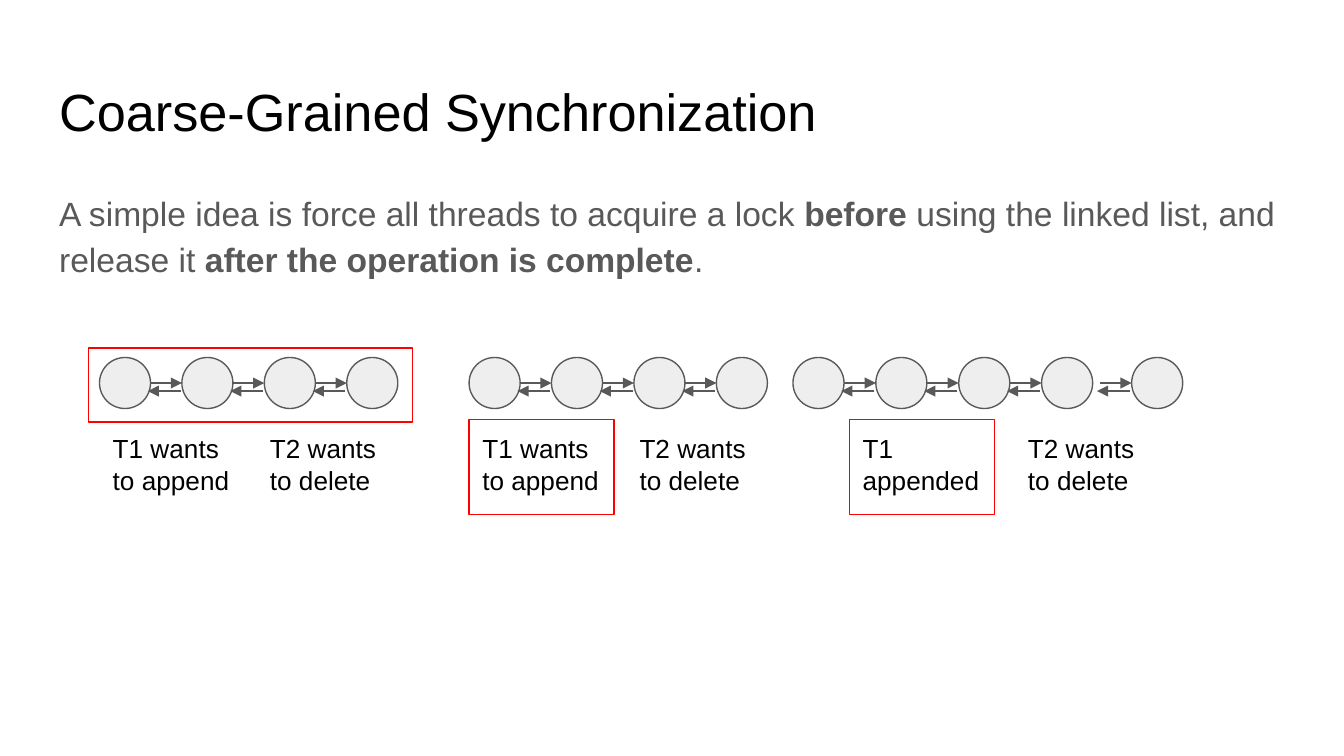
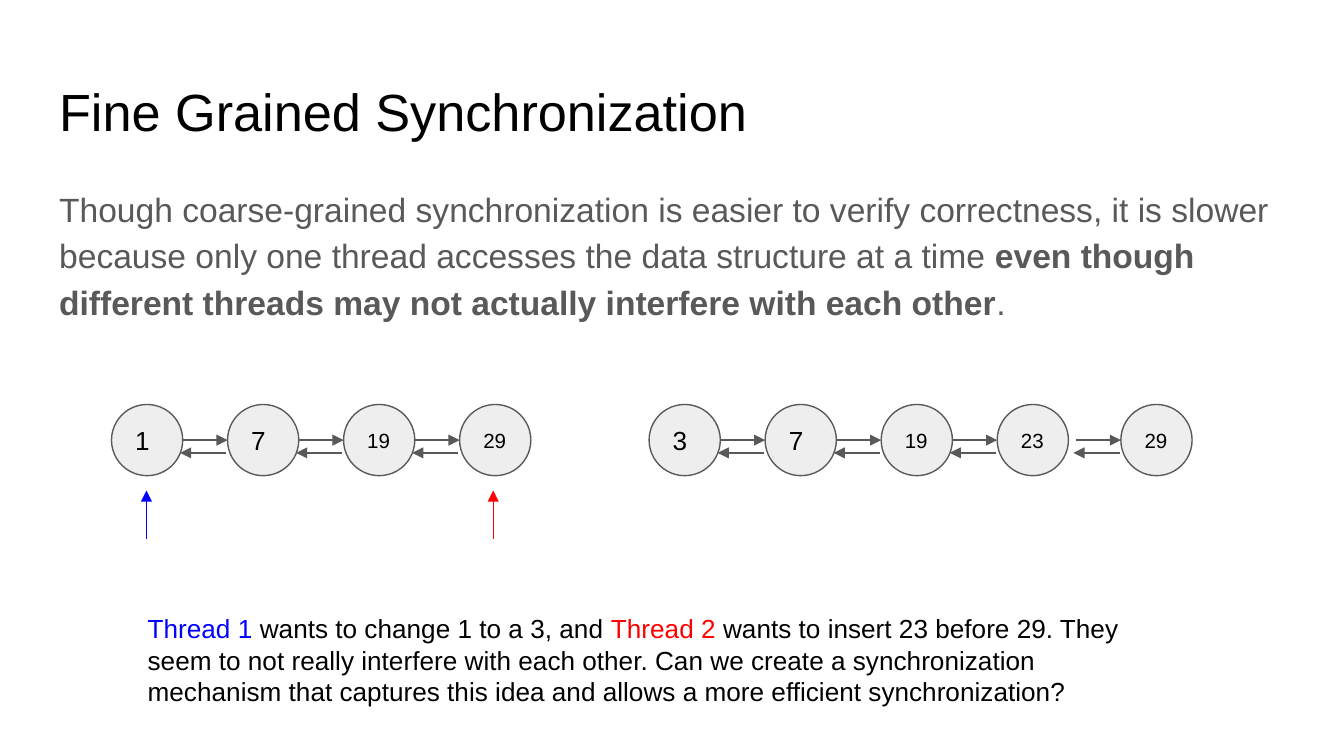
"""Builds two slides on coarse- and fine-grained locking of a linked list."""
from dataclasses import dataclass
from typing import NamedTuple

from lxml.etree import SubElement
from pptx import Presentation
from pptx.dml.color import RGBColor
from pptx.enum.shapes import MSO_CONNECTOR, MSO_SHAPE
from pptx.enum.text import MSO_ANCHOR, MSO_AUTO_SIZE, PP_ALIGN
from pptx.oxml.ns import qn
from pptx.slide import Slide
from pptx.text.text import TextFrame
from pptx.util import Inches, Pt

BLACK = RGBColor(0x00, 0x00, 0x00)
GRAY = RGBColor(0x59, 0x59, 0x59)
PALE = RGBColor(0xEE, 0xEE, 0xEE)
RED = RGBColor(0xFF, 0x00, 0x00)
BLUE = RGBColor(0x00, 0x00, 0xFF)
FONT = "Arial"
THIN = Pt(0.75)
PAD = Inches(0.1)
WIDTH = Inches(10)
HEIGHT = WIDTH * 9 // 16


class Run(NamedTuple):
    text: str
    color: RGBColor | None = None
    bold: bool = False


class Box(NamedTuple):
    left: float
    top: float
    width: float
    height: float

    def place(self) -> tuple[int, ...]:
        return tuple(Inches(n) for n in self)


@dataclass(frozen=True)
class Chain:
    left: float
    top: float
    size: float
    span: float
    drop: float
    labels: tuple[str, ...] = ("",) * 4
    last: float | None = None


@dataclass(frozen=True)
class Note:
    left: float
    text: str
    framed: bool = False


def write(frame: TextFrame, *runs: Run, size: float, color: RGBColor = BLACK,
          anchor: MSO_ANCHOR = MSO_ANCHOR.TOP, spacing: float = 1.0) -> None:
    frame.auto_size = MSO_AUTO_SIZE.NONE
    frame.word_wrap = True
    frame.vertical_anchor = anchor
    frame.margin_left = frame.margin_right = PAD
    frame.margin_top = frame.margin_bottom = PAD
    para = frame.paragraphs[0]
    para.alignment = PP_ALIGN.LEFT
    para.line_spacing = spacing
    para.space_before = Pt(0)
    for part in runs:
        run = para.add_run()
        run.text = part.text
        run.font.name = FONT
        run.font.size = Pt(size)
        run.font.bold = part.bold
        run.font.color.rgb = part.color or color


def draw(slide: Slide, kind: MSO_SHAPE, box: Box, line: RGBColor,
         fill: RGBColor | None = None) -> TextFrame:
    shape = slide.shapes.add_shape(kind, *box.place())
    shape.shadow.inherit = False
    shape.line.color.rgb = line
    shape.line.width = THIN
    if fill is None:
        shape.fill.background()
    else:
        shape.fill.solid()
        shape.fill.fore_color.rgb = fill
    return shape.text_frame


def arrow(slide: Slide, start: tuple[float, float], end: tuple[float, float],
          color: RGBColor = GRAY) -> None:
    ends = [Inches(n) for n in (*start, *end)]
    link = slide.shapes.add_connector(MSO_CONNECTOR.STRAIGHT, *ends)
    link.line.color.rgb = color
    link.line.width = THIN
    props = link._element.spPr
    SubElement(props.find(qn("a:ln")), qn("a:tailEnd"), type="triangle")
    SubElement(props, qn("a:effectLst"))


def draw_chain(slide: Slide, chain: Chain) -> None:
    pitch = chain.span / 3
    gap = pitch - chain.size
    ahead = chain.top + chain.size / 2
    back = chain.top + chain.drop
    for i, label in enumerate(chain.labels):
        left = chain.left + i * pitch
        if i == 4 and chain.last is not None:
            left = chain.last
        if i:
            arrow(slide, (left - gap, ahead), (left, ahead))
            arrow(slide, (left - 0.01, back), (left - gap - 0.02, back))
        box = Box(left, chain.top, chain.size, chain.size)
        frame = draw(slide, MSO_SHAPE.OVAL, box, GRAY, PALE)
        if label:
            write(frame, Run(label), size=14 if len(label) == 1 else 11,
                  anchor=MSO_ANCHOR.MIDDLE)


def draw_note(slide: Slide, note: Note) -> None:
    box = Box(note.left, 3.12, 1.08, 0.71)
    if note.framed:
        frame = draw(slide, MSO_SHAPE.RECTANGLE, box, RED)
    else:
        frame = slide.shapes.add_textbox(*box.place()).text_frame
    write(frame, Run(note.text), size=14)


def add_page(deck: Presentation, title: str, box: Box, *runs: Run) -> Slide:
    slide = deck.slides.add_slide(deck.slide_layouts[1])
    head, body = slide.shapes.title, slide.placeholders[1]
    for shape, area in ((head, Box(0.34, 0.49, 9.32, 0.63)), (body, box)):
        shape.left, shape.top, shape.width, shape.height = area.place()
    write(head.text_frame, Run(title), size=28)
    write(body.text_frame, *runs, size=18, color=GRAY, spacing=1.15)
    props = body.text_frame.paragraphs[0]._p.get_or_add_pPr()
    props.set("marL", "0")
    props.set("indent", "0")
    SubElement(props, qn("a:buNone"))
    return slide


def coarse(deck: Presentation) -> None:
    slide = add_page(
        deck, "Coarse-Grained Synchronization", Box(0.34, 1.29, 9.32, 3.74),
        Run("A simple idea is force all threads to acquire a lock "),
        Run("before", bold=True),
        Run(" using the linked list, and release it "),
        Run("after the operation is complete", bold=True),
        Run("."))
    draw(slide, MSO_SHAPE.RECTANGLE, Box(0.66, 2.59, 2.41, 0.55), RED)
    for left in (0.74, 3.49):
        draw_chain(slide, Chain(left, 2.66, 0.38, 1.84, 0.25))
    draw_chain(slide, Chain(5.9, 2.66, 0.38, 1.85, 0.25, ("",) * 5, 8.42))
    for note in (
        Note(0.74, "T1 wants to append"),
        Note(1.91, "T2 wants to delete"),
        Note(3.49, "T1 wants to append", True),
        Note(4.66, "T2 wants to delete"),
        Note(6.32, "T1 appended", True),
        Note(7.55, "T2 wants to delete"),
    ):
        draw_note(slide, note)


def fine(deck: Presentation) -> None:
    slide = add_page(
        deck, "Fine Grained Synchronization", Box(0.34, 1.26, 9.32, 1.38),
        Run("Though coarse-grained synchronization is easier to verify "
            "correctness, it is slower because only one thread accesses "
            "the data structure at a time "),
        Run("even though different threads may not actually interfere "
            "with each other", bold=True),
        Run("."))
    draw_chain(slide, Chain(0.83, 3.01, 0.53, 2.59, 0.36,
                            ("1", "7", "19", "29")))
    draw_chain(slide, Chain(4.83, 3.01, 0.53, 2.59, 0.36,
                            ("3", "7", "19", "23", "29"), 8.34))
    for left, color in ((1.09, BLUE), (3.67, RED)):
        arrow(slide, (left, 4.01), (left, 3.65), color)
    area = Box(1, 4.46, 7.68, 0.53)
    write(slide.shapes.add_textbox(*area.place()).text_frame,
          Run("Thread 1 ", BLUE),
          Run("wants to change 1 to a 3, and "),
          Run("Thread 2 ", RED),
          Run("wants to insert 23 before 29. They seem to not really "
              "interfere with each other. Can we create a synchronization "
              "mechanism that captures this idea and allows a more "
              "efficient synchronization?"),
          size=14)


def main() -> None:
    deck = Presentation()
    deck.slide_width, deck.slide_height = WIDTH, HEIGHT
    coarse(deck)
    fine(deck)
    deck.save("out.pptx")


if __name__ == "__main__":
    main()
